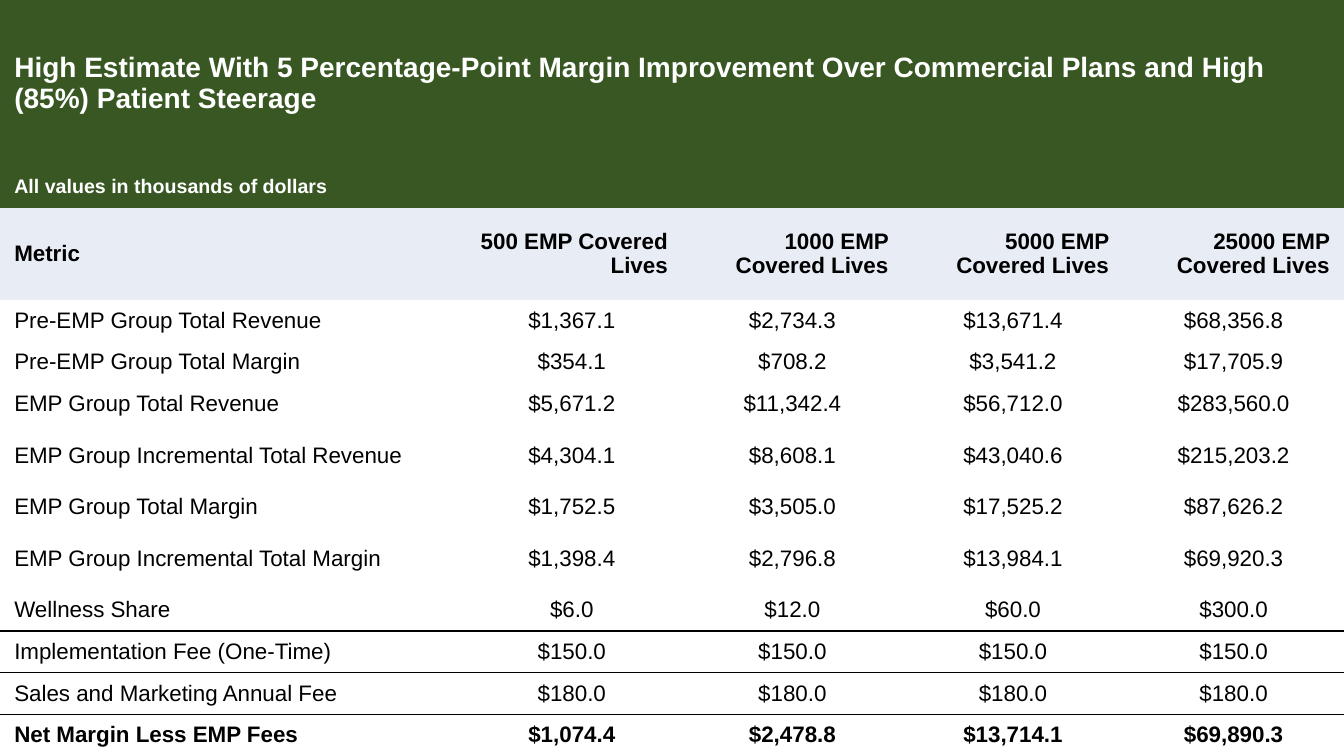
from dataclasses import dataclass

from lxml.etree import SubElement
from pptx import Presentation
from pptx.dml.color import RGBColor as Rgb
from pptx.enum.text import MSO_ANCHOR as Anchor, PP_ALIGN as Align
from pptx.oxml import parse_xml
from pptx.oxml.ns import nsdecls, qn
from pptx.util import Cm, Pt


@dataclass(frozen=True)
class Theme:
    font: str = "Arial"
    green: str = "385723"
    pale: str = "E7ECF5"
    white: str = "FFFFFF"
    black: str = "000000"
    title: int = 20
    note: int = 14
    body: int = 16
    rule: int = 1


THEME = Theme()
NO_GRID = "{2D5ABB26-0587-4C30-8999-92F81FD0307C}"
WIDTH, HEIGHT = Cm(33.87), Cm(19.05)
INDENT = Cm(0.36)
LABEL, VALUE = Cm(11.63), Cm(5.56)
LOW, MID, HEAD, TOP = Cm(1.05), Cm(1.55), Cm(2.31), Cm(4.19)

TITLE = ("High Estimate With 5 Percentage-Point Margin Improvement "
         "Over Commercial Plans and High (85%) Patient Steerage")
NOTE = "All values in thousands of dollars"
LIVES = (500, 1000, 5000, 25000)
METRICS = [
    ("Pre-EMP Group Total Revenue", LOW, (1367.1, 2734.3, 13671.4, 68356.8)),
    ("Pre-EMP Group Total Margin", LOW, (354.1, 708.2, 3541.2, 17705.9)),
    ("EMP Group Total Revenue", LOW, (5671.2, 11342.4, 56712.0, 283560.0)),
    ("EMP Group Incremental Total Revenue", MID, (4304.1, 8608.1, 43040.6, 215203.2)),
    ("EMP Group Total Margin", LOW, (1752.5, 3505.0, 17525.2, 87626.2)),
    ("EMP Group Incremental Total Margin", MID, (1398.4, 2796.8, 13984.1, 69920.3)),
    ("Wellness Share", LOW, (6.0, 12.0, 60.0, 300.0)),
    ("Implementation Fee (One-Time)", LOW, (150.0,) * 4),
    ("Sales and Marketing Annual Fee", LOW, (180.0,) * 4),
    ("Net Margin Less EMP Fees", LOW, (1074.4, 2478.8, 13714.1, 69890.3)),
]
RULED = ("Wellness Share", "Sales and Marketing Annual Fee")


def add_grid(slide, heights):
    """Add a full-slide table without any built-in style."""
    frame = slide.shapes.add_table(len(heights), len(LIVES) + 1, 0, 0, WIDTH, HEIGHT)
    grid = frame.table
    grid.first_row = grid.horz_banding = False
    grid._tbl.tblPr.find(qn("a:tableStyleId")).text = NO_GRID
    for col, width in zip(grid.columns, [LABEL] + [VALUE] * len(LIVES)):
        col.width = width
    for row, height in zip(grid.rows, heights):
        row.height = height
    return grid


def fill_cell(cell, text, size=THEME.body, color=THEME.black, bold=False,
              align=Align.LEFT, fill=None):
    cell.margin_left = cell.margin_right = cell.margin_top = cell.margin_bottom = 0
    cell.vertical_anchor = Anchor.MIDDLE
    if fill:
        cell.fill.solid()
        cell.fill.fore_color.rgb = Rgb.from_string(fill)
    else:
        cell.fill.background()
    para = cell.text_frame.paragraphs[0]
    para.alignment = align
    props = para._p.get_or_add_pPr()
    for side in ("marL", "marR"):
        props.set(side, str(INDENT))
    props.set("indent", "0")
    run = para.add_run()
    run.text = text
    font = run.font
    font.name, font.size, font.bold = THEME.font, Pt(size), bold
    font.color.rgb = Rgb.from_string(color)


def fill_row(row, texts, align, **style):
    """Fill a row: label at the left, the other cells aligned as given."""
    for index, (cell, text) in enumerate(zip(row.cells, texts)):
        fill_cell(cell, text, align=align if index else Align.LEFT, **style)


def fill_band(grid, index, text, size):
    """Fill a green row merged over all columns."""
    cell = grid.cell(index, 0)
    cell.merge(grid.cell(index, len(LIVES)))
    fill_cell(cell, text, size, THEME.white, True, fill=THEME.green)


def add_rule(row, side):
    for cell in row.cells:
        line = parse_xml(f'<a:{side} {nsdecls("a")} w="{Pt(THEME.rule)}"/>')
        solid = SubElement(line, qn("a:solidFill"))
        SubElement(solid, qn("a:srgbClr")).set("val", THEME.black)
        cell._tc.get_or_add_tcPr().insert(0, line)


def main():
    deck = Presentation()
    deck.slide_width, deck.slide_height = WIDTH, HEIGHT
    slide = deck.slides.add_slide(deck.slide_layouts[6])
    grid = add_grid(slide, [TOP, LOW, HEAD] + [high for _, high, _ in METRICS])
    fill_band(grid, 0, TITLE, THEME.title)
    fill_band(grid, 1, NOTE, THEME.note)
    heads = ["Metric"] + [f"{count} EMP Covered Lives" for count in LIVES]
    fill_row(grid.rows[2], heads, Align.RIGHT, bold=True, fill=THEME.pale)
    for index, (name, _, sums) in enumerate(METRICS, 3):
        texts = [name] + [f"${value:,.1f}" for value in sums]
        last = name == METRICS[-1][0]
        fill_row(grid.rows[index], texts, Align.CENTER, bold=last)
        if name in RULED:
            add_rule(grid.rows[index], "lnB")
            add_rule(grid.rows[index + 1], "lnT")
    deck.save("out.pptx")


if __name__ == "__main__":
    main()
